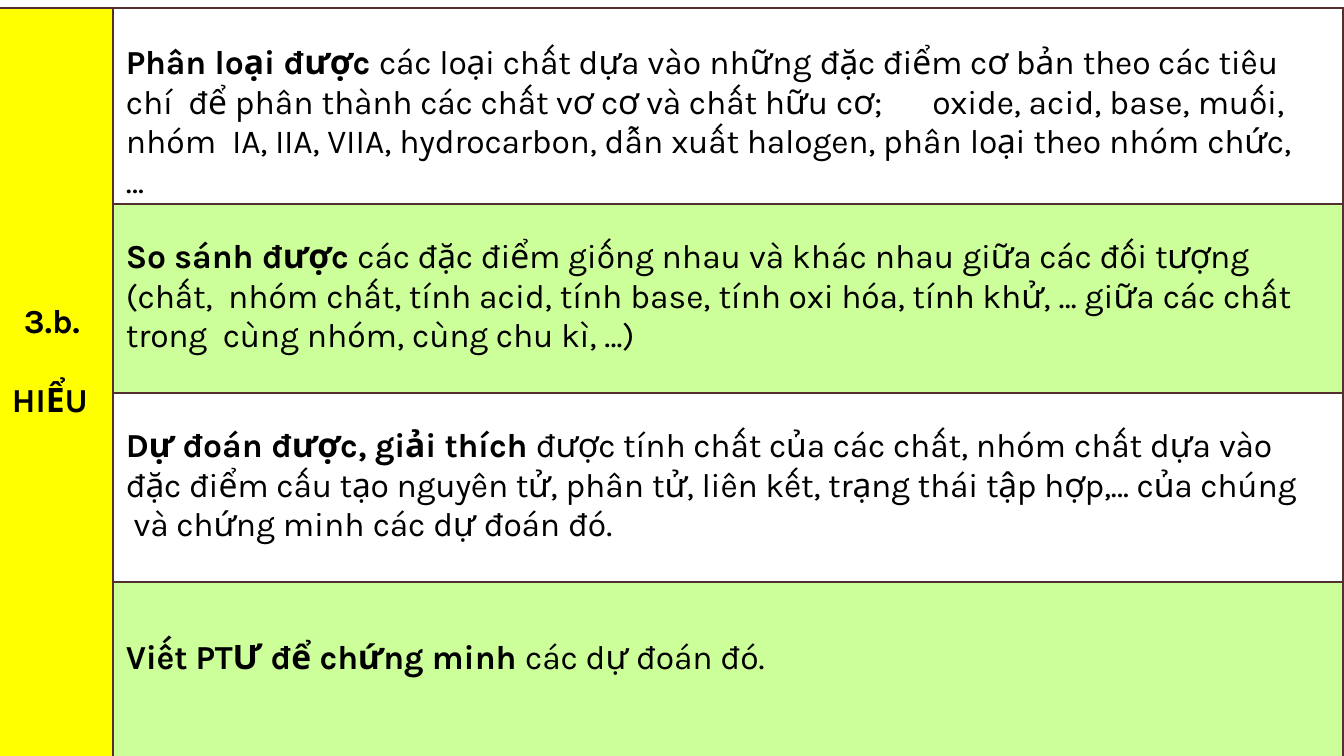
from pptx import Presentation
from pptx.dml.color import RGBColor as Rgb
from pptx.oxml.ns import qn
from pptx.util import Pt
from lxml.etree import SubElement as add_element

PX = 6804
COLORS = {"text": "000000", "border": "532F30", "level": "FFFF00", "band": "CCFF99"}
COLUMNS = [114, 1230]
ROWS = [196, 189, 189, 174]
TOP_INSETS = [36, 34, 34, 57]
TEXT_INSET = 13
RIGHT_INSET = 41
LEVEL_TOP = 295
TAB_STOP = 718

# Each "|" switches between tight and normal letter spacing, starting tight.
SKILLS = [
    ("Phân |loại được ",
     "các loại chất |dựa vào những |đặc điểm cơ |bản |theo các tiêu chí  để |phân |"
     "thành các chất vơ cơ và chất |hữu |cơ;\toxide, |acid, base, |muối, |nhóm  |IA, IIA, |"
     "VIIA, |hydrocarbon, |dẫn |xuất halogen, |phân |loại theo |nhóm |chức, |…"),
    ("So |sánh được ",
     "các đặc điểm giống |nhau |và |khác nhau |giữa các đối tượng (chất,  |nhóm |chất, tính |"
     "acid, |tính |base, |tính oxi hóa, tính khử, |… giữa |các chất trong  cùng |nhóm, |"
     "cùng chu kì, |…)"),
    ("Dự |đoán được, |giải thích ",
     "được tính chất của các chất, |nhóm |chất |dựa |vào  đặc điểm cấu tạo nguyên tử, |phân |"
     "tử, liên kết, trạng thái tập hợp,… của chúng  và chứng |minh |các |dự |đoán |đó."),
    ("Viết PTƯ |để |chứng |minh ", "các |dự |đoán |đó."),
]


def px(length):
    return length * PX


def style_cell(cell, fill, top, right):
    cell.margin_left, cell.margin_top = px(TEXT_INSET), px(top)
    cell.margin_right, cell.margin_bottom = px(right), 0
    properties = cell._tc.get_or_add_tcPr()
    for side in ("lnL", "lnR", "lnT", "lnB"):
        border = add_element(properties, qn(f"a:{side}"), w=str(Pt(1)))
        paint = add_element(border, qn("a:solidFill"))
        add_element(paint, qn("a:srgbClr"), val=COLORS["border"])
    if fill:
        cell.fill.solid()
        cell.fill.fore_color.rgb = Rgb.from_string(COLORS[fill])
    else:
        cell.fill.background()


def style_font(paragraph):
    font = paragraph.font
    font.name, font.size = "Karla", Pt(18)
    font.color.rgb = Rgb.from_string(COLORS["text"])
    return font


def add_phrases(paragraph, phrases, bold):
    for index, phrase in enumerate(phrases.split("|")):
        run = paragraph.add_run()
        run.text = phrase
        run.font.bold = bold
        if index % 2 == 0:
            run.font._element.set("spc", "-10")


def write_skill(cell, ability, detail):
    paragraph = cell.text_frame.paragraphs[0]
    if "\t" in detail:
        tabs = add_element(paragraph._p.get_or_add_pPr(), qn("a:tabLst"))
        add_element(tabs, qn("a:tab"), pos=str(px(TAB_STOP)), algn="l")
    style_font(paragraph)
    add_phrases(paragraph, ability, True)
    add_phrases(paragraph, detail, False)


def write_level(cell):
    number = cell.text_frame.paragraphs[0]
    number.text = "3.b."
    number._p.get_or_add_pPr().set("marL", str(px(12)))
    name = cell.text_frame.add_paragraph()
    name.text = "HIỂU"
    name.space_before = Pt(21)
    for paragraph in (number, name):
        style_font(paragraph).bold = True


def add_skill_table(slide):
    frame = slide.shapes.add_table(
        len(ROWS), len(COLUMNS), px(-1), px(8), px(sum(COLUMNS)), px(sum(ROWS)))
    table = frame.table
    table.first_row = table.horz_banding = False
    for column, width in zip(table.columns, COLUMNS):
        column.width = px(width)
    for index, (height, top, skill) in enumerate(zip(ROWS, TOP_INSETS, SKILLS)):
        table.rows[index].height = px(height)
        style_cell(table.cell(index, 0), "level", 0 if index else LEVEL_TOP, 0)
        skill_cell = table.cell(index, 1)
        style_cell(skill_cell, "band" if index % 2 else None, top, RIGHT_INSET)
        write_skill(skill_cell, *skill)
    level = table.cell(0, 0)
    level.merge(table.cell(len(ROWS) - 1, 0))
    write_level(level)


def main():
    deck = Presentation()
    deck.slide_width, deck.slide_height = px(1344), px(756)
    slide = deck.slides.add_slide(deck.slide_layouts[6])
    add_skill_table(slide)
    deck.save("out.pptx")


if __name__ == "__main__":
    main()
